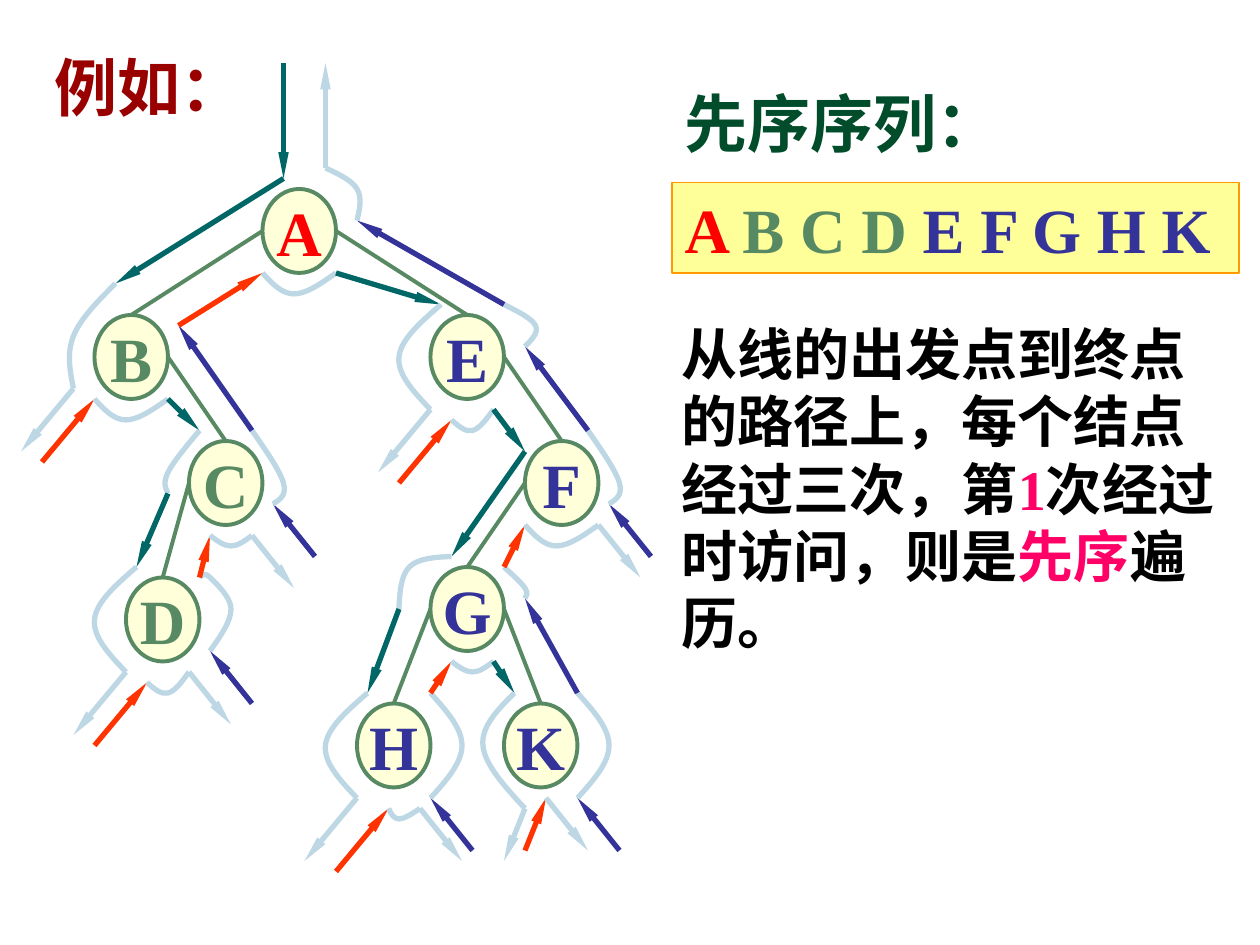
from dataclasses import dataclass
from typing import Optional

from lxml import etree
from pptx import Presentation
from pptx.dml.color import RGBColor
from pptx.enum.shapes import MSO_CONNECTOR, MSO_SHAPE
from pptx.enum.text import MSO_ANCHOR, PP_ALIGN
from pptx.oxml.ns import qn
from pptx.util import Cm, Pt

OVAL, RECTANGLE = MSO_SHAPE.OVAL, MSO_SHAPE.RECTANGLE
STRAIGHT = MSO_CONNECTOR.STRAIGHT
TOP, MIDDLE = MSO_ANCHOR.TOP, MSO_ANCHOR.MIDDLE
LEFT, CENTER, JUSTIFY = PP_ALIGN.LEFT, PP_ALIGN.CENTER, PP_ALIGN.JUSTIFY

CREAM = RGBColor.from_string("FFFFD9")
GREEN = RGBColor.from_string("578963")
RED = RGBColor.from_string("FF0000")
NAVY = RGBColor.from_string("333399")
TEAL = RGBColor.from_string("006666")
ORANGE_RED = RGBColor.from_string("FF3300")
PALE_BLUE = RGBColor.from_string("BDD7E5")
MAROON = RGBColor.from_string("990000")
DARK_GREEN = RGBColor.from_string("004C2B")
YELLOW = RGBColor.from_string("FFFF99")
ORANGE = RGBColor.from_string("FF9900")
PINK = RGBColor.from_string("FF0066")
BLACK = RGBColor.from_string("000000")

FONT = "Times New Roman"
GRID_CM = 2.54 / 12
NODE_WIDTH, NODE_HEIGHT = 7, 8
Point = tuple[float, float]
Loop = tuple[Point, ...]

LEFT_LOOP = (1, -1), (-3, 4), (0, 9)
WIDE_DIP = (0, 8), (3, 10), (7, 8)
SHORT_DIP = (2, 9), (4, 10), (6, 9)
LOW_DIP = (2, 10), (4, 11), (6, 9)
RIGHT_LOOP = (8, 6), (9, 4), (6, -1)
LEAF_RIGHT_LOOP = (7, 9), (10, 4), (7, -1)
HIGH_RIGHT_LOOP = (9, 3), (10, 1), (7, -1)


@dataclass(frozen=True)
class Node:
    letter: str
    left: float
    top: float
    color: RGBColor
    left_child: Optional["Node"] = None
    right_child: Optional["Node"] = None
    before: Loop = LEFT_LOOP
    between: Loop = WIDE_DIP
    after: Loop = RIGHT_LOOP
    left_stub: Point = (-5, 6)

    def place(self, loop: Loop) -> Loop:
        return tuple(moved((self.left, self.top), offset) for offset in loop)


def moved(point: Point, offset: Point) -> Point:
    return point[0] + offset[0], point[1] + offset[1]


def build_tree() -> Node:
    node_d = Node("D", 12, 55, GREEN, between=LOW_DIP, after=((8, 7), (10, 3), (8, 0), (7, 0)))
    node_c = Node("C", 18, 42, GREEN, node_d, before=((1, -1), (-2, 3), (-2, 5)), between=SHORT_DIP)
    node_b = Node("B", 9, 30, GREEN, None, node_c, before=((2, -3), (-2, 2), (-2, 7)), after=((8, 1),))
    node_h = Node("H", 34, 67, NAVY, between=((3, 10), (4, 11), (6, 10)), after=LEAF_RIGHT_LOOP)
    node_k = Node("K", 48, 67, NAVY, before=((1, -1), (-2, 4), (2, 10)), between=((4, 9),),
                  after=LEAF_RIGHT_LOOP, left_stub=(-2, 5))
    node_g = Node("G", 41, 54, NAVY, node_h, node_k, before=((2, -1), (-2, 0), (-3, 4)),
                  between=SHORT_DIP, after=((9, 3), (9, 2), (7, 0)))
    node_f = Node("F", 50, 42, NAVY, node_g, before=((0, 1),))
    node_e = Node("E", 41, 30, NAVY, None, node_f, between=LOW_DIP, after=HIGH_RIGHT_LOOP)
    return Node("A", 25, 18, RED, node_b, node_e, before=((2, -1),), after=((9, 3), (9, 0), (6, -2)))


def grid(count: float) -> Cm:
    return Cm(count * GRID_CM)


def write_text(shape, *runs, size=36, align=LEFT, anchor=TOP, wrap=True) -> None:
    frame = shape.text_frame
    frame.word_wrap = wrap
    frame.vertical_anchor = anchor
    paragraph = frame.paragraphs[0]
    paragraph.alignment = align
    for text, color in runs:
        run = paragraph.add_run()
        run.text = text
        run.font.name = FONT
        run.font.size = Pt(size)
        run.font.bold = True
        run.font.color.rgb = color


def add_box(slide, kind, position, fill, line, width):
    shape = slide.shapes.add_shape(kind, *position)
    shape.shadow.inherit = False
    shape.fill.solid()
    shape.fill.fore_color.rgb = fill
    shape.line.color.rgb = line
    shape.line.width = Pt(width)
    return shape


def add_line(slide, start: Point, end: Point, color: RGBColor, width=3.0, arrow=True) -> None:
    connector = slide.shapes.add_connector(STRAIGHT, *map(grid, start + end))
    connector.line.color.rgb = color
    connector.line.width = Pt(width)
    properties = connector._element.spPr
    if arrow:
        etree.SubElement(properties.find(qn("a:ln")), qn("a:tailEnd"), type="triangle", w="sm", len="lg")
    etree.SubElement(properties, qn("a:effectLst"))


def add_nodes(slide, node: Node) -> None:
    position = map(grid, (node.left, node.top, NODE_WIDTH, NODE_HEIGHT))
    shape = add_box(slide, OVAL, position, CREAM, GREEN, 2.25)
    write_text(shape, (node.letter, node.color), align=CENTER, anchor=MIDDLE, wrap=False)
    for child, side in ((node.left_child, 0), (node.right_child, NODE_WIDTH)):
        if child:
            start = node.left + side, node.top + NODE_HEIGHT / 2
            end = child.left + NODE_WIDTH / 2, child.top
            add_line(slide, start, end, GREEN, 2.25, arrow=False)
            add_nodes(slide, child)


def bezier_points(points: Loop) -> list[Point]:
    def shifted(index: int, sign: int) -> Point:
        previous, here, following = points[index - 1:index + 2]
        return tuple(h + sign * (f - p) / 6 for p, h, f in zip(previous, here, following))

    def middle(first: Point, second: Point) -> Point:
        return tuple((a + b) / 2 for a, b in zip(first, second))

    result = []
    last = len(points) - 1
    for index in range(last):
        leaving = shifted(index, 1) if index else None
        arriving = shifted(index + 1, -1) if index + 1 < last else middle(leaving, points[last])
        result += [leaving or middle(points[0], arriving), arriving, points[index + 1]]
    return result


def add_curve(slide, points: Loop) -> None:
    if len(points) == 1:
        return
    builder = slide.shapes.build_freeform(*map(grid, points[0]))
    builder.add_line_segments([tuple(map(grid, p)) for p in bezier_points(points)], close=False)
    shape = builder.convert_to_shape()
    segments = list(shape._element.iter(qn("a:lnTo")))
    for index in range(0, len(segments), 3):
        curve = etree.SubElement(segments[index].getparent(), qn("a:cubicBezTo"))
        for segment in segments[index:index + 3]:
            curve.append(segment[0])
            segment.getparent().remove(segment)
    shape.shadow.inherit = False
    shape.fill.background()
    shape.line.color.rgb = PALE_BLUE
    shape.line.width = Pt(3)


def add_branch(slide, child: Optional[Node], leave: Point, back: Point, color: RGBColor, stub: Point) -> None:
    if child:
        add_line(slide, leave, child.place(child.before)[0], TEAL)
        add_tour(slide, child)
        add_line(slide, child.place(child.after)[-1], back, color)
    else:
        add_line(slide, leave, moved(leave, stub), PALE_BLUE)
        add_line(slide, moved(back, stub), back, color)


def add_tour(slide, node: Node) -> None:
    before, between, after = map(node.place, (node.before, node.between, node.after))
    add_curve(slide, before)
    add_branch(slide, node.left_child, before[-1], between[0], ORANGE_RED, node.left_stub)
    add_curve(slide, between)
    add_branch(slide, node.right_child, between[-1], after[0], NAVY, (4, 5))
    add_curve(slide, after)


def main() -> None:
    presentation = Presentation()
    presentation.slide_width, presentation.slide_height = Cm(25.4), Cm(19.05)
    slide = presentation.slides.add_slide(presentation.slide_layouts[5])

    title = slide.shapes.title
    title.left, title.top, title.width, title.height = Cm(0.85), Cm(0.85), Cm(4.23), Cm(1.78)
    write_text(title, ("例如：", MAROON))

    root = build_tree()
    entry, leaving = root.place(root.before)[0], root.place(root.after)[-1]
    tour_top = 6
    add_nodes(slide, root)
    add_line(slide, (entry[0], tour_top), entry, TEAL)
    add_tour(slide, root)
    add_line(slide, leaving, (leaving[0], tour_top), PALE_BLUE)

    heading = slide.shapes.add_textbox(Cm(13.55), Cm(1.57), Cm(7.2), Cm(1.78))
    write_text(heading, ("先序序列：", DARK_GREEN))
    position = Cm(13.55), Cm(3.68), Cm(11.43), Cm(1.83)
    sequence = add_box(slide, RECTANGLE, position, YELLOW, ORANGE, 1)
    write_text(sequence, ("A ", RED), ("B C D ", GREEN), ("E F G H K", NAVY), align=JUSTIFY, anchor=MIDDLE)
    explanation = slide.shapes.add_textbox(Cm(13.49), Cm(6.32), Cm(11.6), Cm(7.09))
    write_text(explanation, ("从线的出发点到终点的路径上，每个结点经过三次，第", BLACK), ("1", PINK),
               ("次经过时访问，则是", BLACK), ("先序", PINK), ("遍历。", BLACK), size=32)
    presentation.save("out.pptx")


if __name__ == "__main__":
    main()
